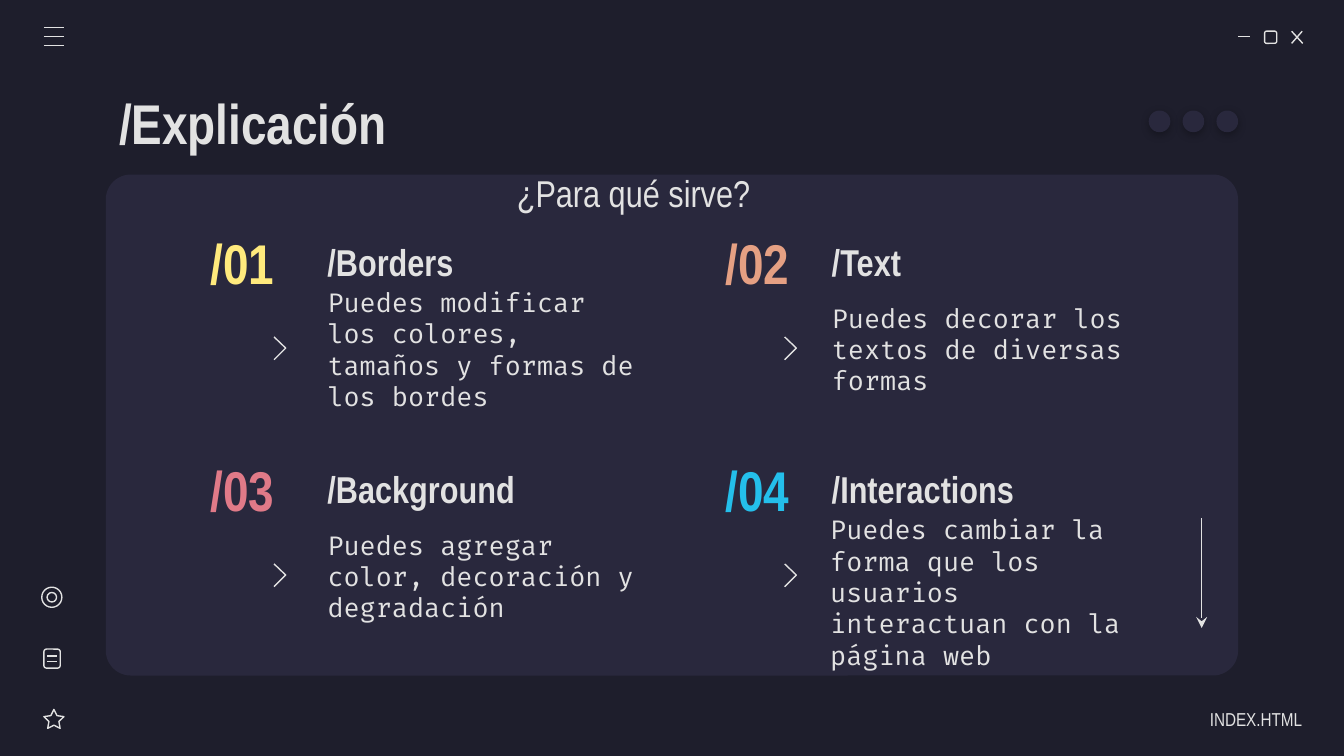
import pptx
import pptx.dml.color
import pptx.enum.shapes
import pptx.enum.text
import pptx.oxml
import pptx.oxml.ns
import pptx.util
from lxml import etree

Cm = pptx.util.Cm
Pt = pptx.util.Pt
Align = pptx.enum.text.PP_ALIGN
Shape = pptx.enum.shapes.MSO_SHAPE
qn = pptx.oxml.ns.qn

BACKGROUND, PANEL, LIGHT = "1E1E2C", "29283D", "E2E2E2"
DISPLAY, CODE = "Arial Narrow", "Fira Code"


def color(hex_value):
    return pptx.dml.color.RGBColor.from_string(hex_value)


def write(holder, box, text, size, font=DISPLAY, ink=LIGHT, bold=False,
          align=Align.LEFT, left_inset=0.25, right_inset=0.25):
    """Place a text holder and fill it with one formatted paragraph."""
    holder.left, holder.top, holder.width, holder.height = map(Cm, box)
    frame = holder.text_frame
    frame.word_wrap = True
    frame.auto_size = pptx.enum.text.MSO_AUTO_SIZE.NONE
    frame.vertical_anchor = pptx.enum.text.MSO_ANCHOR.MIDDLE
    frame.margin_left, frame.margin_right = Cm(left_inset), Cm(right_inset)
    frame.margin_top = frame.margin_bottom = Cm(0.25)
    frame.text = text
    paragraph = frame.paragraphs[0]
    paragraph.alignment = align
    paragraph.space_before = Pt(0)
    paragraph.font.name, paragraph.font.size = font, Pt(size)
    paragraph.font.bold = bold
    paragraph.font.color.rgb = color(ink)
    # No bullet and no hanging indent
    properties = paragraph._p.get_or_add_pPr()
    properties.set("marL", "0")
    properties.set("indent", "0")
    bullet = pptx.oxml.parse_xml(
        '<a:buNone xmlns:a="http://schemas.openxmlformats.org/drawingml/2006/main"/>')
    properties.find(qn("a:spcBef")).addnext(bullet)


def label(slide, box, text, size, **style):
    write(slide.shapes.add_textbox(0, 0, 0, 0), box, text, size, **style)


def outline(shape):
    shape.shadow.inherit = False
    shape.fill.background()
    shape.line.color.rgb = color(LIGHT)
    shape.line.width = Pt(0.75)
    return shape


def filled(slide, kind, box):
    shape = slide.shapes.add_shape(kind, *map(Cm, box))
    shape.shadow.inherit = False
    shape.fill.solid()
    shape.fill.fore_color.rgb = color(PANEL)
    shape.line.fill.background()
    return shape


def icon(slide, kind, *box):
    return outline(slide.shapes.add_shape(kind, *map(Cm, box)))


def stroke(slide, *ends):
    line = slide.shapes.add_connector(
        pptx.enum.shapes.MSO_CONNECTOR.STRAIGHT, *map(Cm, ends))
    line.line.color.rgb = color(LIGHT)
    line.line.width = Pt(0.75)
    etree.SubElement(line._element.spPr, qn("a:effectLst"))
    return line


def window_buttons(slide, left, top):
    stroke(slide, left, top + 0.1, left + 0.23, top + 0.1)
    icon(slide, Shape.ROUNDED_RECTANGLE, left + 0.5, top, 0.23, 0.23)
    stroke(slide, left + 1.01, top, left + 1.22, top + 0.23)
    stroke(slide, left + 1.21, top, left + 1.01, top + 0.23)


def menu_icon(slide, left, top):
    for row in range(3):
        y = top + row * 0.17
        stroke(slide, left, y, left + 0.38, y)


def side_icons(slide, left, top):
    # Target
    icon(slide, Shape.OVAL, left, top, 0.38, 0.38)
    icon(slide, Shape.OVAL, left + 0.1, top + 0.1, 0.18, 0.18)
    # Document
    icon(slide, Shape.ROUNDED_RECTANGLE, left + 0.04, top + 1.17, 0.31, 0.36)
    for y in (top + 1.3, top + 1.4):
        stroke(slide, left + 0.1, y, left + 0.28, y)
    # Star
    star = icon(slide, Shape.STAR_5_POINT, left + 0.04, top + 2.31, 0.38, 0.36)
    star.adjustments[0] = 0.25


def panel_dots(slide, left, top):
    for column in range(3):
        dot = filled(slide, Shape.OVAL, (left + column * 0.64, top, 0.41, 0.41))
        shadow = etree.SubElement(
            dot._element.spPr.find(qn("a:effectLst")), qn("a:outerShdw"),
            blurRad=str(Pt(4.5)), dist=str(Pt(1.5)), dir="5400000",
            algn="bl", rotWithShape="0")
        black = etree.SubElement(shadow, qn("a:srgbClr"), val="000000")
        etree.SubElement(black, qn("a:alpha"), val="30000")


def chevron(slide, left, top):
    builder = slide.shapes.build_freeform(Cm(left), Cm(top))
    builder.add_line_segments(
        [(Cm(left + 0.22), Cm(top + 0.21)), (Cm(left), Cm(top + 0.43))], close=False)
    outline(builder.convert_to_shape())


def feature(slide, description, box, number, ink, heading, text, shift=(0, 0)):
    """Number, heading, chevron and description inside one grid cell."""
    left, top, gutter, chevron_gap = box
    text_left = left + gutter
    label(slide, (left, top, 2.31, 1.42), number, 30, ink=ink, bold=True,
          align=Align.CENTER)
    label(slide, (text_left, top, 6.5, 1.42), heading, 20, bold=True)
    write(description, (text_left + shift[0], top + 1.41 + shift[1], 6.5, 1.9),
          text, 14, font=CODE)
    chevron(slide, left + chevron_gap, top + 2.13)


deck = pptx.Presentation()
deck.slide_width, deck.slide_height = Cm(25.4), Cm(14.29)
slide = deck.slides.add_slide(deck.slide_layouts[4])
slide.background.fill.solid()
slide.background.fill.fore_color.rgb = color(BACKGROUND)
title, *descriptions = list(slide.placeholders)[:5]

# Panel, placed behind the placeholders
panel = filled(slide, Shape.ROUNDED_RECTANGLE, (2, 3.3, 21.4, 9.47))
panel.adjustments[0] = 0.05
title._element.addprevious(panel._element)

# Heading
write(title, (2, 1.5, 21.4, 1.6), "/Explicación", 30, bold=True)
label(slide, (9.7, 3.15, 4.8, 0.97), "¿Para qué sirve?", 20,
      align=Align.CENTER, left_inset=0)

# Feature grid: left edge, text gutter, chevron gap of each column
columns = [(3.43, 2.51, 1.75), (13.16, 2.31, 1.67)]
rows = [4.24, 8.53]
features = [
    ("/01", "FFEA7D", "/Borders",
     "Puedes modificar los colores, tamaños y formas de los bordes"),
    ("/02", "E5A083", "/Text", "Puedes decorar los textos de diversas formas"),
    ("/03", "E07A88", "/Background", "Puedes agregar color, decoración y degradación"),
    ("/04", "24BFEB", "/Interactions",
     "Puedes cambiar la forma que los usuarios interactuan con la página web",
     (-0.03, 0.3)),
]
for index, (description, content) in enumerate(zip(descriptions, features)):
    left, gutter, chevron_gap = columns[index % 2]
    cell = (left, rows[index // 2], gutter, chevron_gap)
    feature(slide, description, cell, *content)

# Window decoration
window_buttons(slide, 23.4, 0.59)
menu_icon(slide, 0.83, 0.52)
side_icons(slide, 0.79, 11.1)
panel_dots(slide, 21.71, 2.09)

# Scroll arrow
scroll_arrow = stroke(slide, 22.71, 9.8, 22.71, 11.87)
etree.SubElement(scroll_arrow.line._get_or_add_ln(), qn("a:tailEnd"), type="stealth")

# File name
label(slide, (21.63, 13.21, 2.98, 0.76), "INDEX.HTML", 10,
      align=Align.RIGHT, right_inset=0)

deck.save("out.pptx")
